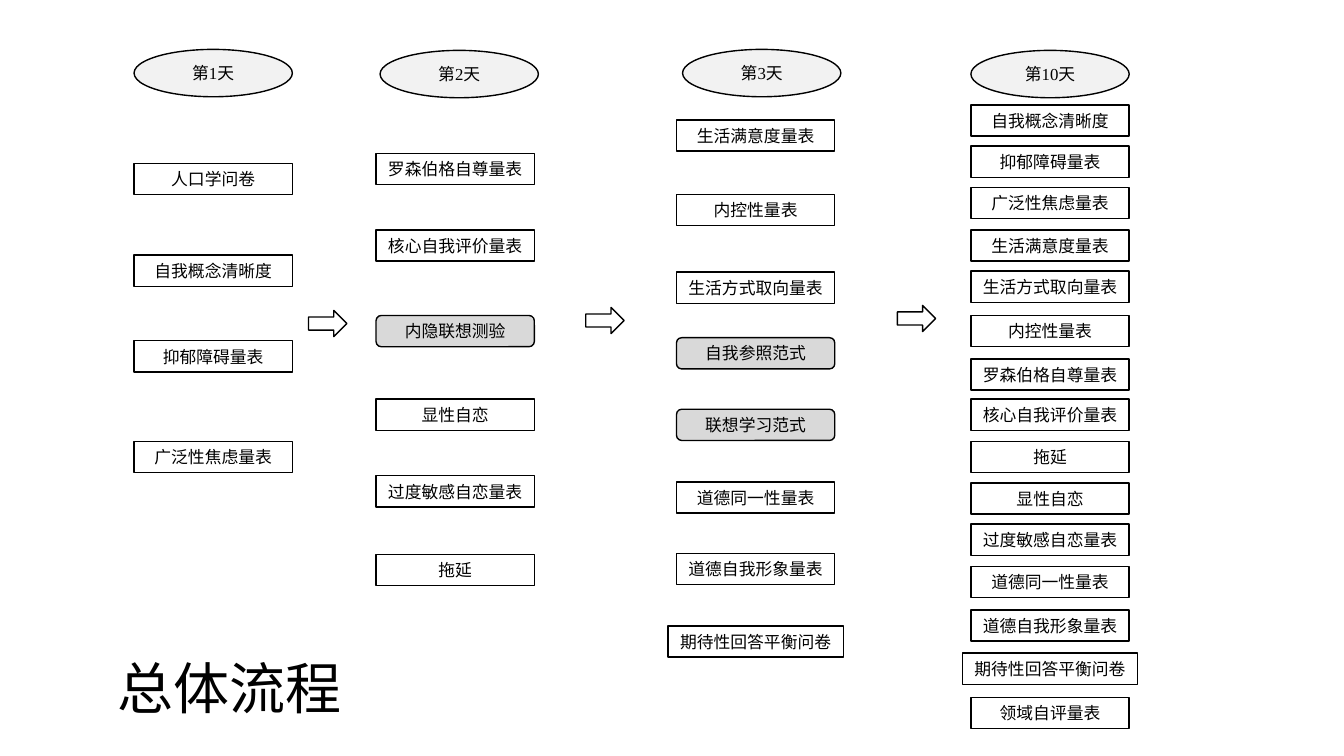
from lxml import etree
from pptx import Presentation
from pptx import util as u
from pptx.dml.color import RGBColor
from pptx.enum import shapes, text
from pptx.oxml.ns import qn

COLS, ROWS = 133.3, 75
BOX_W, WIDE_W, BOX_H, OVAL_H = 15.7, 17.4, 3.1, 4.7
KIND = shapes.MSO_SHAPE


def rgb(hex_colour):
    return RGBColor.from_string(hex_colour)


class Flow:
    ink, paper, oval_fill, task_fill = "000000", "FFFFFF", "F2F2F2", "D9D9D9"
    latin, cjk = "Times New Roman", "Noto Sans CJK SC"

    def __init__(self, prs):
        self.s = prs.slides.add_slide(prs.slide_layouts[6])
        self.col = prs.slide_width / COLS
        self.row = prs.slide_height / ROWS

    def place(self, x, y, w, h):
        return [u.Emu(round(v)) for v in
                (x * self.col, y * self.row, w * self.col, h * self.row)]

    def run(self, p, words, size, font):
        r = p.add_run()
        r.text = words
        r.font.size = u.Pt(size)
        r.font.color.rgb = rgb(self.ink)
        r.font.name = font
        ea = etree.SubElement(r.font._element, qn("a:ea"))
        ea.set("typeface", self.cjk)

    def shape(self, kind, x, y, w, h, fill, words=""):
        sp = self.s.shapes.add_shape(kind, *self.place(x, y, w, h))
        sp.shadow.inherit = False
        sp.fill.solid()
        sp.fill.fore_color.rgb = rgb(fill)
        sp.line.color.rgb = rgb(self.ink)
        sp.line.width = u.Pt(1)
        if words:
            tf = sp.text_frame
            tf.word_wrap = True
            tf.vertical_anchor = text.MSO_ANCHOR.MIDDLE
            p = tf.paragraphs[0]
            p.alignment = text.PP_ALIGN.CENTER
            self.run(p, words, 12, self.latin)

    def day(self, words, x, y):
        self.shape(KIND.OVAL, x, y, BOX_W, OVAL_H, self.oval_fill, words)

    def scale(self, words, x, y):
        w = WIDE_W if len(words) > 8 else BOX_W
        self.shape(KIND.RECTANGLE, x - (w - BOX_W) / 2, y, w, BOX_H,
                   self.paper, words)

    def task(self, words, x, y):
        self.shape(KIND.ROUNDED_RECTANGLE, x, y, BOX_W, BOX_H,
                   self.task_fill, words)

    def arrow(self, x, y):
        self.shape(KIND.RIGHT_ARROW, x, y, 3.8, 2.6, self.paper)

    def title(self, words, x, y, w, h):
        tf = self.s.shapes.add_textbox(*self.place(x, y, w, h)).text_frame
        tf.word_wrap = True
        self.run(tf.paragraphs[0], words, 40, self.cjk)


TASKS = {"内隐联想测验", "自我参照范式", "联想学习范式"}

DAYS = [
    ("第1天", 13.3, 4.9, 13.3, {
        "人口学问卷": 16.2, "自我概念清晰度": 25.3,
        "抑郁障碍量表": 33.8, "广泛性焦虑量表": 43.8}),
    ("第2天", 37.7, 5, 37.3, {
        "罗森伯格自尊量表": 15.2, "核心自我评价量表": 22.8,
        "内隐联想测验": 31.3, "显性自恋": 39.6,
        "过度敏感自恋量表": 47.2, "拖延": 55}),
    ("第3天", 67.7, 4.9, 67.1, {
        "生活满意度量表": 11.9, "内控性量表": 19.3,
        "生活方式取向量表": 27, "自我参照范式": 33.5,
        "联想学习范式": 40.6, "道德同一性量表": 47.8,
        "道德自我形象量表": 54.9, "期待性回答平衡问卷": 62.1}),
    ("第10天", 96.3, 5, 96.3, {
        "自我概念清晰度": 10.4, "抑郁障碍量表": 14.5,
        "广泛性焦虑量表": 18.6, "生活满意度量表": 22.8,
        "生活方式取向量表": 26.9, "内控性量表": 31.3,
        "罗森伯格自尊量表": 35.6, "核心自我评价量表": 39.6,
        "拖延": 43.8, "显性自恋": 47.9, "过度敏感自恋量表": 52,
        "道德同一性量表": 56.2, "道德自我形象量表": 60.5,
        "期待性回答平衡问卷": 64.8, "领域自评量表": 69.2}),
]

ARROWS = [(30.6, 30.8), (58.1, 30.5), (89, 30.3)]


def main():
    prs = Presentation()
    prs.slide_width, prs.slide_height = u.Inches(13.33), u.Inches(7.5)
    flow = Flow(prs)
    for day, day_x, day_y, x, steps in DAYS:
        flow.day(day, day_x, day_y)
        for words, y in steps.items():
            draw = flow.task if words in TASKS else flow.scale
            draw(words, x, y)
    for x, y in ARROWS:
        flow.arrow(x, y)
    flow.title("总体流程", 10.7, 64.3, 50.3, 7.7)
    prs.save("out.pptx")


if __name__ == "__main__":
    main()
